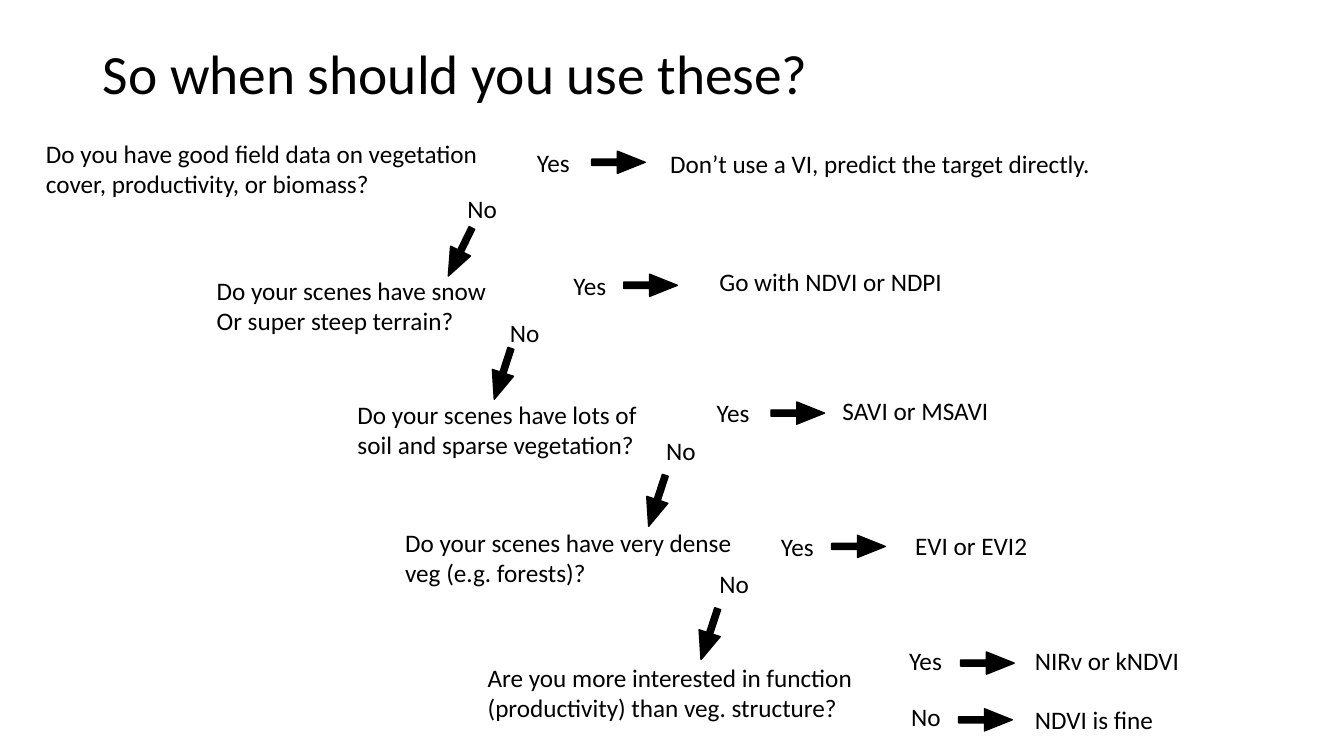
"""Build a decision-tree slide on choosing a vegetation index."""
from dataclasses import dataclass

import pptx
import pptx.dml.color
import pptx.enum.shapes
import pptx.enum.text
import pptx.util

Cm = pptx.util.Cm
Pt = pptx.util.Pt
BLACK = "000000"
FONT = "Calibri"
ARROW_W, ARROW_H = 1.35, 0.56
LINE_H, TWO_LINE_H = 1.02, 1.8
LABEL_W = {"Yes": 1.35, "No": 1.27}


@dataclass
class Text:
    text: str
    x: float
    y: float
    w: float
    h: float = LINE_H
    wrap: bool = False


@dataclass
class Branch:
    label: str
    label_x: float
    label_y: float
    arrow_x: float
    arrow_y: float
    angle: float = 0


QUESTIONS = [
    Text("Do you have good field data on vegetation\ncover, productivity, or biomass?",
         0.91, 3.35, 11.68, TWO_LINE_H),
    Text("Do your scenes have snow\nOr super steep terrain?", 5.21, 6.81, 7.39, TWO_LINE_H),
    Text("Do your scenes have lots of\nsoil and sparse vegetation?", 8.76, 9.93, 7.77, TWO_LINE_H),
    Text("Do your scenes have very dense veg (e.g. forests)?",
         9.96, 13.16, 8.89, TWO_LINE_H, wrap=True),
    Text("Are you more interested in function (productivity) than veg. structure?",
         12.04, 16.56, 9.83, TWO_LINE_H, wrap=True),
]
ANSWERS = [
    Text("Don’t use a VI, predict the target directly.", 16.64, 3.61, 11.23),
    Text("Go with NDVI or NDPI", 17.88, 6.58, 6.2),
    Text("SAVI or MSAVI", 20.98, 9.83, 4.22),
    Text("EVI or EVI2", 22.81, 13.23, 3.38),
    Text("NIRv or kNDVI", 25.83, 16.13, 4.19),
    Text("NDVI is fine", 25.83, 17.63, 3.53),
]
BRANCHES = [
    Branch("Yes", 13.28, 3.58, 14.91, 3.81),
    Branch("No", 11.53, 4.75, 10.92, 6.07, 116.1),
    Branch("Yes", 14.2, 6.68, 15.72, 6.91),
    Branch("No", 12.6, 7.87, 11.99, 9.14, 108.1),
    Branch("Yes", 17.81, 9.88, 19.43, 10.13),
    Branch("No", 16.54, 10.85, 15.88, 12.34, 108.1),
    Branch("Yes", 19.43, 13.26, 20.96, 13.49),
    Branch("No", 17.88, 14.2, 17.2, 15.7, 108.1),
    Branch("Yes", 22.66, 16.13, 24.21, 16.43),
    Branch("No", 22.71, 17.55, 24.16, 17.86),
]


def rgb(color: str) -> pptx.dml.color.RGBColor:
    return pptx.dml.color.RGBColor.from_string(color)


def write(tf, text: str, *, size: float = 18, color: str = BLACK, spacing: float = 1.0) -> None:
    for i, line in enumerate(text.split("\n")):
        p = tf.paragraphs[0] if i == 0 else tf.add_paragraph()
        p.alignment = pptx.enum.text.PP_ALIGN.LEFT
        p.line_spacing = spacing
        r = p.add_run()
        r.text = line
        r.font.name = FONT
        r.font.size = Pt(size)
        r.font.color.rgb = rgb(color)


def add_text(s, item: Text) -> None:
    tf = s.shapes.add_textbox(Cm(item.x), Cm(item.y), Cm(item.w), Cm(item.h)).text_frame
    tf.word_wrap = item.wrap
    tf.auto_size = pptx.enum.text.MSO_AUTO_SIZE.SHAPE_TO_FIT_TEXT
    write(tf, item.text)


def add_arrow(s, x: float, y: float, angle: float) -> None:
    sp = s.shapes.add_shape(pptx.enum.shapes.MSO_SHAPE.RIGHT_ARROW,
                            Cm(x), Cm(y), Cm(ARROW_W), Cm(ARROW_H))
    sp.adjustments[0] = 0.28
    sp.adjustments[1] = 1.25
    sp.rotation = angle
    sp.shadow.inherit = False
    sp.fill.solid()
    sp.fill.fore_color.rgb = rgb(BLACK)
    sp.line.color.rgb = rgb(BLACK)
    sp.line.width = Pt(1)


def add_branch(s, branch: Branch) -> None:
    add_text(s, Text(branch.label, branch.label_x, branch.label_y, LABEL_W[branch.label]))
    add_arrow(s, branch.arrow_x, branch.arrow_y, branch.angle)


def add_title(s, text: str) -> None:
    sp = s.shapes.title
    sp.left, sp.top, sp.width, sp.height = Cm(2.34), Cm(1.02), Cm(29.21), Cm(1.8)
    tf = sp.text_frame
    tf.word_wrap = True
    tf.auto_size = pptx.enum.text.MSO_AUTO_SIZE.NONE
    tf.vertical_anchor = pptx.enum.text.MSO_ANCHOR.MIDDLE
    write(tf, text, size=39.6, spacing=0.9)


def main() -> None:
    prs = pptx.Presentation()
    prs.slide_width, prs.slide_height = Cm(33.87), Cm(19.05)
    s = prs.slides.add_slide(prs.slide_layouts[5])
    add_title(s, "So when should you use these?")
    for item in QUESTIONS + ANSWERS:
        add_text(s, item)
    for branch in BRANCHES:
        add_branch(s, branch)
    prs.save("out.pptx")


if __name__ == "__main__":
    main()
